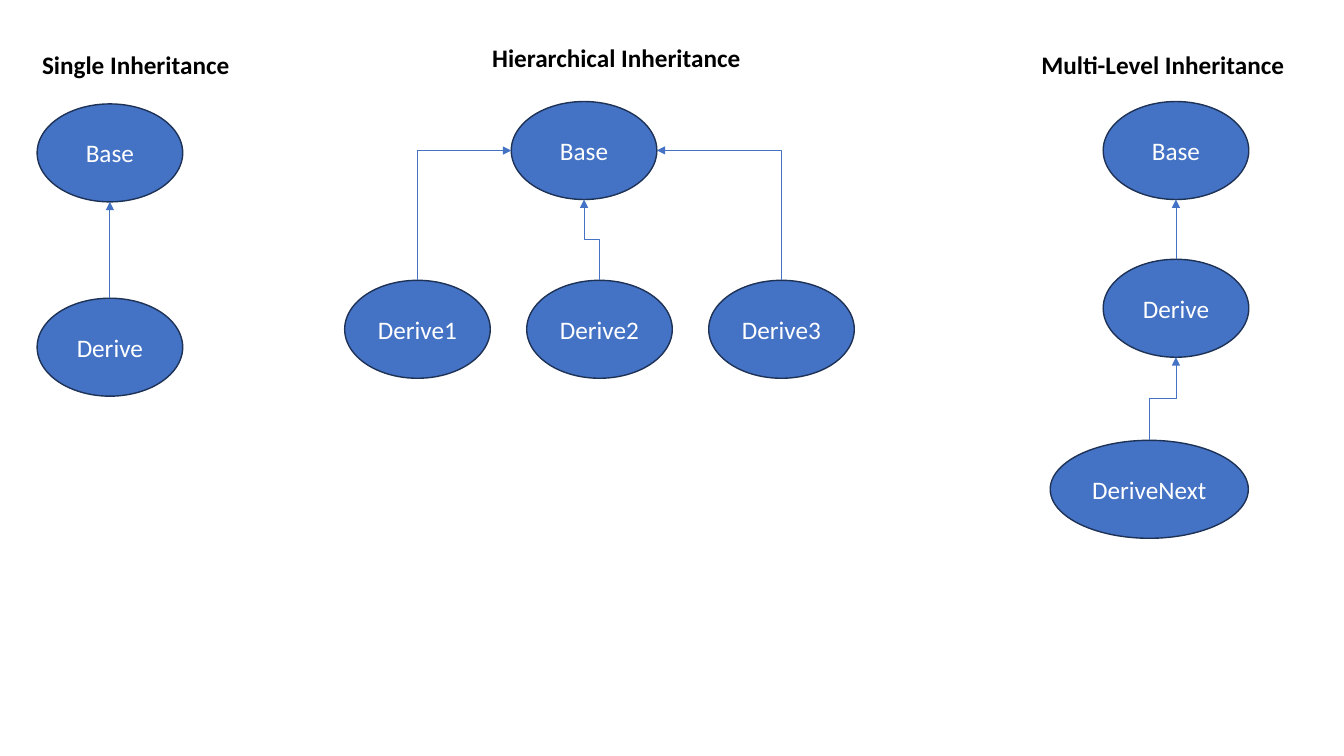
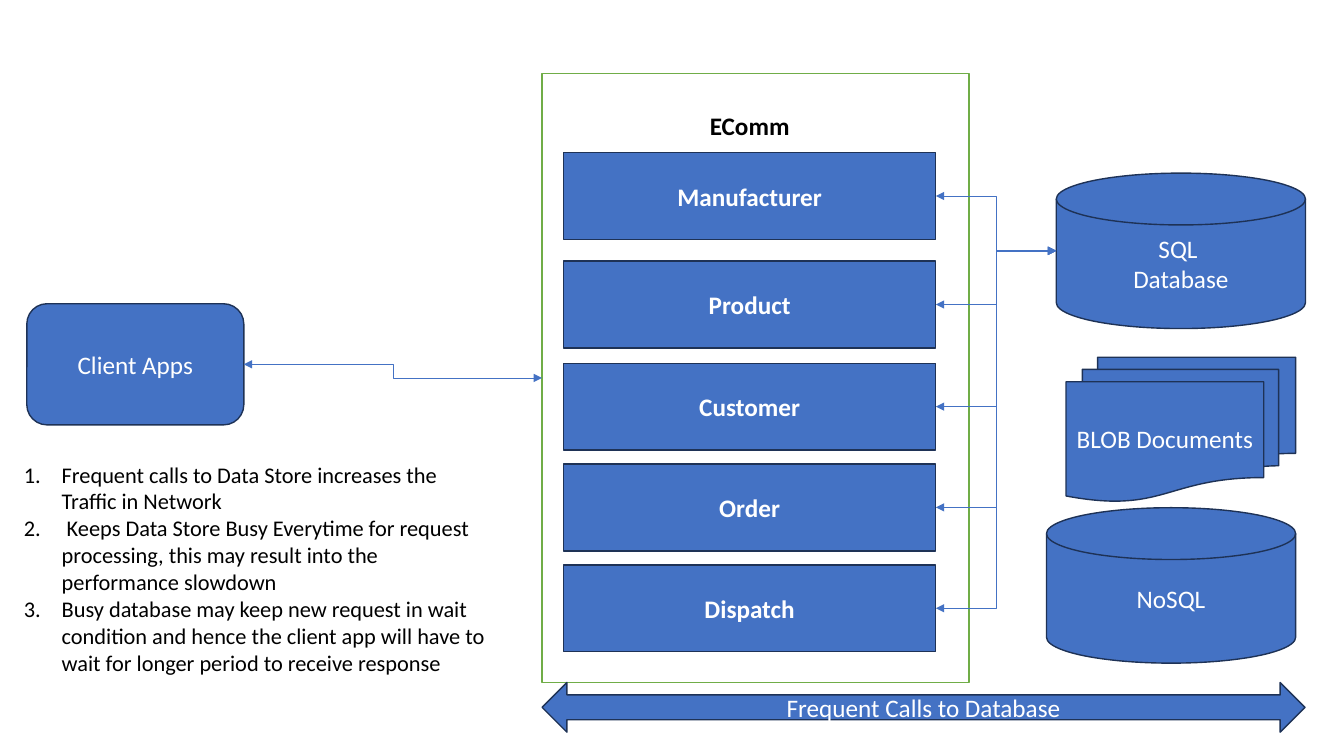
from dataclasses import dataclass

from lxml.etree import SubElement
from pptx import Presentation
from pptx.dml.color import RGBColor
from pptx.enum.shapes import MSO_CONNECTOR as Cxn, MSO_SHAPE as Geo
from pptx.enum.text import MSO_ANCHOR, MSO_AUTO_SIZE, PP_ALIGN
from pptx.oxml.ns import qn
from pptx.shapes.autoshape import Shape
from pptx.slide import Slide
from pptx.text.text import TextFrame
from pptx.util import Pt

COLORS = {
    "fill": "4472C4",
    "outline": "1E3256",
    "frame": "70AD47",
    "white": "FFFFFF",
    "black": "000000",
}
FONT = "Calibri"
LIST_INDENT = 27

# Connection site numbers by side
FOUR_SITES = {"top": 0, "left": 1, "bottom": 2, "right": 3}
SITES = {
    Geo.OVAL: {"top": 0, "left": 2, "bottom": 4, "right": 6},
    Geo.FLOWCHART_MAGNETIC_DISK: {"top": 1, "left": 2, "bottom": 3, "right": 4},
}
# Position of each side's middle, as shares of width and height
SIDES = {"top": (0.5, 0), "left": (0, 0.5), "bottom": (0.5, 1), "right": (1, 0.5)}


@dataclass
class Node:
    text: str
    x: float
    y: float
    w: float = 104
    h: float = 70
    geo: Geo = Geo.OVAL
    bold: bool = False
    fill: str = "fill"
    line: str = "outline"


@dataclass
class Link:
    start: int
    end: int
    sides: tuple[str, str]
    both_ends: bool = False


@dataclass
class Heading:
    text: str
    x: float
    y: float
    w: float


@dataclass
class Tree:
    heading: Heading
    nodes: list[Node]
    links: list[Link]


def rgb(name: str) -> RGBColor:
    return RGBColor.from_string(COLORS[name])


def write(tf: TextFrame, lines: list[str], color: str, size: float = 18,
          bold: bool = False, align: PP_ALIGN = PP_ALIGN.CENTER) -> None:
    tf.word_wrap = True
    for i, line in enumerate(lines):
        p = tf.add_paragraph() if i else tf.paragraphs[0]
        p.alignment = align
        r = p.add_run()
        r.text = line
        r.font.name, r.font.size, r.font.bold = FONT, Pt(size), bold
        r.font.color.rgb = rgb(color)


def add_node(s: Slide, node: Node) -> Shape:
    sp = s.shapes.add_shape(node.geo, Pt(node.x), Pt(node.y), Pt(node.w), Pt(node.h))
    sp.shadow.inherit = False
    sp.fill.solid()
    sp.fill.fore_color.rgb = rgb(node.fill)
    sp.line.color.rgb = rgb(node.line)
    sp.line.width = Pt(1)
    if node.text:
        sp.text_frame.vertical_anchor = MSO_ANCHOR.MIDDLE
        write(sp.text_frame, node.text.split("\n"), "white", bold=node.bold)
    return sp


def add_text(s: Slide, x: float, y: float, w: float, h: float) -> TextFrame:
    tf = s.shapes.add_textbox(Pt(x), Pt(y), Pt(w), Pt(h)).text_frame
    tf.auto_size = MSO_AUTO_SIZE.SHAPE_TO_FIT_TEXT
    return tf


def add_heading(s: Slide, heading: Heading) -> None:
    tf = add_text(s, heading.x, heading.y, heading.w, 29)
    write(tf, [heading.text], "black", bold=True)


def port(sp: Shape, side: str) -> tuple[float, float]:
    across, down = SIDES[side]
    return sp.left.pt + across * sp.width.pt, sp.top.pt + down * sp.height.pt


def add_link(s: Slide, shapes: list[Shape], link: Link) -> None:
    ends = (shapes[link.start], shapes[link.end])
    (x1, y1), (x2, y2) = (port(sp, side) for sp, side in zip(ends, link.sides))
    upward = link.sides[0] == "top"
    if upward:
        # Lay the elbow on its side, then turn it to leave vertically
        mid_x, mid_y, rise, run = (x1 + x2) / 2, (y1 + y2) / 2, y1 - y2, x2 - x1
        x1, x2 = mid_x - rise / 2, mid_x + rise / 2
        y1, y2 = mid_y - run / 2, mid_y + run / 2
    c = s.shapes.add_connector(Cxn.ELBOW, Pt(x1), Pt(y1), Pt(x2), Pt(y2))
    c.line.color.rgb = rgb("fill")
    c.line.width = Pt(0.5)

    sp_pr = c.element.find(qn("p:spPr"))
    if upward:
        sp_pr.find(qn("a:xfrm")).set("rot", str(270 * 60000))
        if link.sides[1] != "bottom":
            sp_pr.find(qn("a:prstGeom")).set("prst", "bentConnector2")
    ln = sp_pr.find(qn("a:ln"))
    for tag in ("a:headEnd", "a:tailEnd") if link.both_ends else ("a:tailEnd",):
        SubElement(ln, qn(tag), type="triangle")
    SubElement(sp_pr, qn("a:effectLst"))

    # Attach both ends to their shapes
    joints = next(c.element.iter(qn("p:cNvCxnSpPr")))
    for tag, sp, side in zip(("a:stCxn", "a:endCxn"), ends, link.sides):
        site = SITES.get(sp.auto_shape_type, FOUR_SITES)[side]
        SubElement(joints, qn(tag), id=str(sp.shape_id), idx=str(site))


def add_numbered(s: Slide, lines: list[str]) -> None:
    tf = add_text(s, 10, 325.5, 349, 163)
    write(tf, lines, "black", size=16, align=PP_ALIGN.LEFT)
    for p in tf.paragraphs:
        p_pr = p._p.get_or_add_pPr()
        p_pr.set("marL", str(Pt(LIST_INDENT)))
        p_pr.set("indent", str(-Pt(LIST_INDENT)))
        SubElement(p_pr, qn("a:buFont"), typeface="+mj-lt")
        SubElement(p_pr, qn("a:buAutoNum"), type="arabicPeriod")


def draw(s: Slide, nodes: list[Node], links: list[Link]) -> None:
    shapes = [add_node(s, node) for node in nodes]
    for link in links:
        add_link(s, shapes, link)


prs = Presentation()
prs.slide_width, prs.slide_height = Pt(960), Pt(540)
blank = prs.slide_layouts[6]

# Slide 1: kinds of inheritance
UP = ("top", "bottom")
TREES = [
    Tree(
        Heading("Single Inheritance", 6.5, 31.7, 181),
        [Node("Base", 26.5, 74.2), Node("Derive", 26.5, 213)],
        [Link(1, 0, UP)],
    ),
    Tree(
        Heading("Hierarchical Inheritance", 287.3, 26.6, 306),
        [Node("Base", 365.2, 72.5)]
        + [Node(f"Derive{i + 1}", 246.2 + 130 * i, 200.2) for i in range(3)],
        [Link(1, 0, ("top", "left")), Link(2, 0, UP), Link(3, 0, ("top", "right"))],
    ),
    Tree(
        Heading("Multi-Level Inheritance", 718.6, 31.7, 224),
        [Node("Base", 788, 72.5), Node("Derive", 788, 185.2),
         Node("DeriveNext", 750.2, 314.5, w=141.5)],
        [Link(2, 1, UP), Link(1, 0, UP)],
    ),
]
s = prs.slides.add_slide(blank)
for tree in TREES:
    add_heading(s, tree.heading)
    draw(s, tree.nodes, tree.links)

# Slide 2: services calling the data stores
MODULES = {"Manufacturer": 109, "Product": 186.5, "Customer": 259.5,
           "Order": 331.5, "Dispatch": 403.5}
MODULE_X, MODULE_W = 402.5, 266
DISK = {"w": 178, "h": 111, "geo": Geo.FLOWCHART_MAGNETIC_DISK}
frame = Node("", 387.2, 52.5, 305, 435, Geo.RECTANGLE, fill="white", line="frame")
client = Node("Client Apps", 19.2, 217, 155, 86.5, Geo.ROUNDED_RECTANGLE)
sql = Node("SQL \nDatabase", 754.5, 123.7, **DISK)
modules = [Node(name, MODULE_X, y, MODULE_W, 62, Geo.RECTANGLE, bold=True)
           for name, y in MODULES.items()]
stores = [
    Node("Frequent Calls to Database", 387.2, 487.5, 545, 35.5, Geo.LEFT_RIGHT_ARROW),
    Node("BLOB Documents", 761.5, 255.2, 164, 103, Geo.FLOWCHART_MULTIDOCUMENT),
    Node("NoSQL", 747.5, 362.7, **DISK),
]
ACROSS = ("right", "left")
s = prs.slides.add_slide(blank)
draw(
    s,
    [frame, client, sql, *modules, *stores],
    [Link(1, 0, ACROSS, True)]
    + [Link(3 + i, 2, ACROSS, True) for i in range(len(modules))],
)
add_heading(s, Heading("EComm", MODULE_X, 75, MODULE_W))
add_numbered(s, [
    "Frequent calls to Data Store increases the Traffic in Network",
    " Keeps Data Store Busy Everytime for request processing, "
    "this may result into the performance slowdown",
    "Busy database may keep new request in wait condition and hence "
    "the client app will have to wait for longer period to receive response",
])

prs.save("out.pptx")
